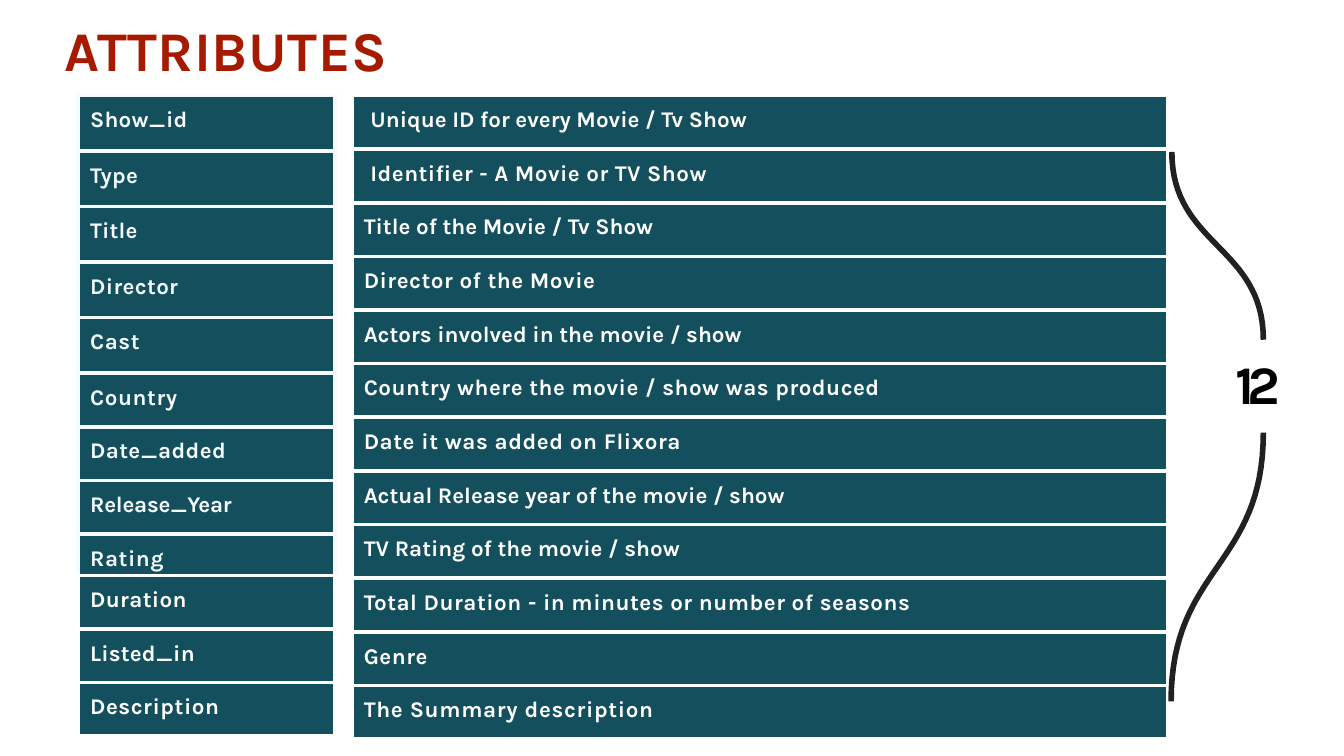
from lxml import etree
from pptx import Presentation
from pptx.dml.color import RGBColor
from pptx.enum import text
from pptx.oxml.ns import qn
from pptx.util import Pt

THEME = {
    "font": "Karla", "title": "A61B00", "cell": "134F5C", "pale": "F4FCFF",
    "white": "FFFFFF", "brace": "212121", "count": "000000",
    "title_size": 30, "count_size": 29, "cell_size": 12,
    "border_width": 2.25, "brace_width": 3,
}

TITLE = "ATTRIBUTES"
COUNT = "12"

# name, letter spacing, row height, colour of text and borders
NAMES = [
    ("Show_id", 0.1, 29.77, "pale"),
    ("Type", 0.2, 29.77, "pale"),
    ("Title", 0.1, 29.77, "pale"),
    ("Director", 0.2, 29.77, "pale"),
    ("Cast", 0.3, 29.77, "pale"),
    ("Country", 0.3, 28.77, "pale"),
    ("Date_added", 0.2, 28.77, "pale"),
    ("Release_Year", -0.1, 28.77, "pale"),
    ("Rating", 0.3, 22.1, "pale"),
    ("Duration", 0.2, 28.77, "white"),
    ("Listed_in", 0.1, 28.77, "white"),
    ("Description", 0.3, 28.77, "white"),
]

# description, letter spacing, left indent
DESCRIPTIONS = [
    ("Unique ID for every Movie / Tv Show", 0, 10),
    ("Identiﬁer - A Movie or TV Show", 0.25, 10),
    ("Title of the Movie / Tv Show", 0, 6.4),
    ("Director of the Movie", 0.28, 6.4),
    ("Actors involved in the movie / show", 0, 6.4),
    ("Country where the movie / show was produced", 0.27, 6.4),
    ("Date it was added on Flixora", 0.32, 6.4),
    ("Actual Release year of the movie / show", 0, 6.4),
    ("TV Rating of the movie / show", 0, 6.4),
    ("Total Duration - in minutes or number of seasons", 0.29, 6.4),
    ("Genre", 0.3, 6.4),
    ("The Summary description", 0.37, 6.4),
]

# start and end of each half of the brace
BRACE_HALVES = [((627.8, 81.4), (676.8, 182)), ((676.8, 231.8), (627.4, 375.8))]
BRACE_STEPS = 32


def color(name):
    return RGBColor.from_string(THEME[name])


def write(frame, content, *, size, ink, spacing=0, left=0, top=0):
    """Fill a text frame or table cell's text; spacing is between letters, in points."""
    frame.word_wrap = True
    paragraph = frame.paragraphs[0]
    paragraph.alignment = text.PP_ALIGN.LEFT
    run = paragraph.add_run()
    run.text = content
    run.font.name = THEME["font"]
    run.font.size = Pt(THEME[size])
    run.font.bold = True
    run.font.color.rgb = color(ink)
    run._r.get_or_add_rPr().set("spc", str(round(spacing * 100)))
    return paragraph


def add_label(slide, content, box, **style):
    frame = slide.shapes.add_textbox(*map(Pt, box)).text_frame
    frame.margin_left = frame.margin_top = Pt(1)
    frame.margin_right = frame.margin_bottom = 0
    write(frame, content, **style)


def set_borders(cell, ink):
    properties = cell._tc.get_or_add_tcPr()
    for side in ("lnL", "lnR", "lnT", "lnB"):
        line = etree.SubElement(properties, qn(f"a:{side}"),
                                w=str(Pt(THEME["border_width"])))
        fill = etree.SubElement(line, qn("a:solidFill"))
        etree.SubElement(fill, qn("a:srgbClr"), val=THEME[ink])


def add_column(slide, left, top, width, rows):
    """Add a one-column table; rows hold text, spacing, indent, height and ink."""
    height = sum(row[3] for row in rows)
    table = slide.shapes.add_table(
        len(rows), 1, Pt(left), Pt(top), Pt(width), Pt(height)).table
    table.first_row = table.horz_banding = False
    for index, (content, spacing, indent, row_height, ink) in enumerate(rows):
        table.rows[index].height = Pt(row_height)
        cell = table.cell(index, 0)
        cell.margin_left, cell.margin_top = Pt(indent), Pt(6.2)
        cell.margin_right = cell.margin_bottom = 0
        set_borders(cell, ink)
        cell.fill.solid()
        cell.fill.fore_color.rgb = color("cell")
        write(cell.text_frame, content, size="cell_size", ink=ink, spacing=spacing)


def add_s_curve(slide, start, end):
    """Draw an S-shaped line that leaves and arrives vertically."""
    (x1, y1), (x2, y2) = start, end
    points = []
    for step in range(BRACE_STEPS + 1):
        t = step / BRACE_STEPS
        across = 3 * t**2 - 2 * t**3
        down = 1.5 * t * (1 - t) + t**3
        points.append((Pt(x1 + (x2 - x1) * across), Pt(y1 + (y2 - y1) * down)))
    builder = slide.shapes.build_freeform(*points[0])
    builder.add_line_segments(points[1:], close=False)
    curve = builder.convert_to_shape()
    curve.shadow.inherit = False
    curve.fill.background()
    curve.line.color.rgb = color("brace")
    curve.line.width = Pt(THEME["brace_width"])


def main():
    presentation = Presentation()
    presentation.slide_width, presentation.slide_height = Pt(720), Pt(405)
    slide = presentation.slides.add_slide(presentation.slide_layouts[6])

    add_label(slide, TITLE, (33.4, 7.2, 197, 38),
              size="title_size", ink="title", spacing=0.3)
    add_column(slide, 41.9, 51.1, 137.5,
               [(name, spacing, 6.4, height, ink)
                for name, spacing, height, ink in NAMES])
    add_column(slide, 188.5, 51.1, 437,
               [(content, spacing, indent, 28.77, "white")
                for content, spacing, indent in DESCRIPTIONS])
    for start, end in BRACE_HALVES:
        add_s_curve(slide, start, end)
    add_label(slide, COUNT, (661, 186.5, 30.2, 36.7),
              size="count_size", ink="count", spacing=-4.2)
    presentation.save("out.pptx")


if __name__ == "__main__":
    main()
